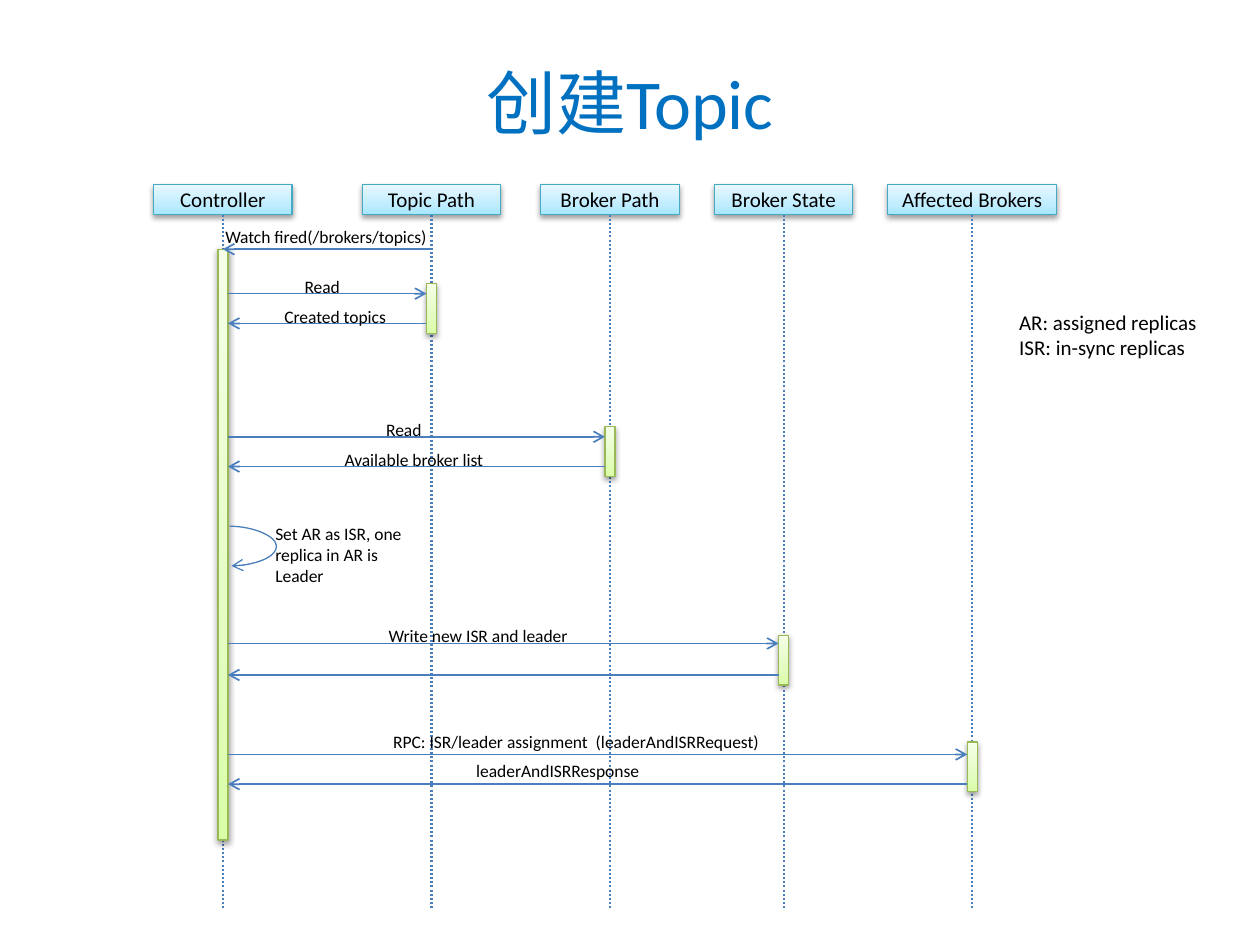
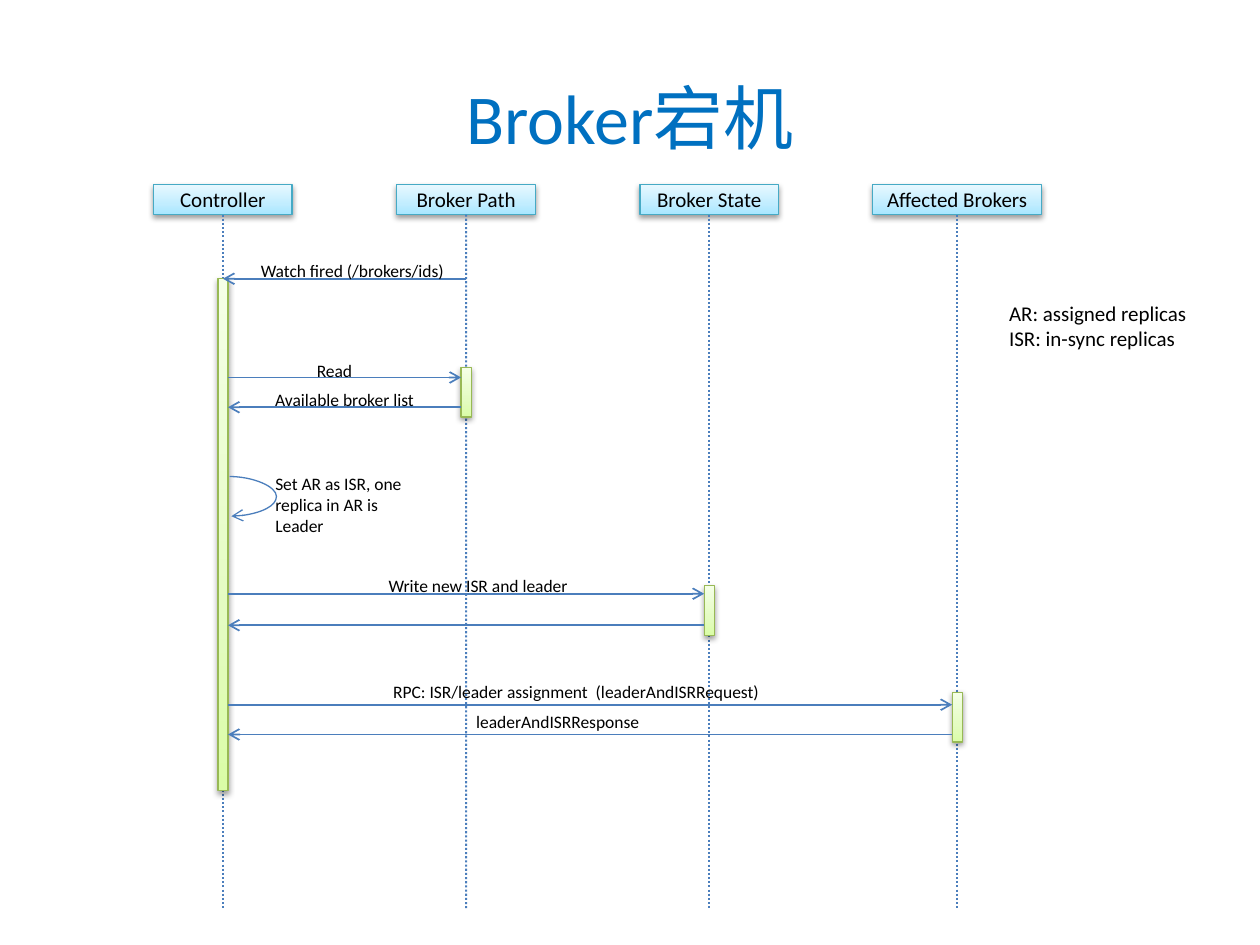
from copy import deepcopy

from lxml import etree
from pptx import Presentation
from pptx.dml.color import RGBColor
from pptx.enum.dml import MSO_LINE
from pptx.enum.shapes import MSO_CONNECTOR, MSO_SHAPE
from pptx.enum.text import MSO_ANCHOR, MSO_AUTO_SIZE, PP_ALIGN
from pptx.oxml.ns import qn
from pptx.util import Pt

STRAIGHT, CURVE = MSO_CONNECTOR.STRAIGHT, MSO_CONNECTOR.CURVE
RECTANGLE = MSO_SHAPE.RECTANGLE
DOTTED = MSO_LINE.ROUND_DOT
MIDDLE = MSO_ANCHOR.MIDDLE
CENTER, LEFT = PP_ALIGN.CENTER, PP_ALIGN.LEFT
NO_AUTOFIT = MSO_AUTO_SIZE.NONE
TOP_SIDE, BOTTOM_SIDE = 0, 2

# Shared look: gradients run from the bottom edge to the top edge
TITLE_COLOR, TEXT_COLOR, LINE_COLOR = "0070C0", "000000", "4B7EBC"
HEADER_STYLE = {"stops": ("A7E6FF", "C1EDFF", "E7F8FF"), "outline": "46AAC5"}
BAR_STYLE = {"stops": ("DAFDA7", "E4FCC2", "F5FFE7"), "outline": "98B955"}
STOP_POSITIONS = (0, 0.35, 1)

# Shared layout, in points
CONTROLLER_X = 127.4
HEADER_TOP, HEADER_WIDTH, WIDE_HEADER_WIDTH, HEADER_HEIGHT = 105.6, 79.2, 96.5, 17
LIFELINE_END = 519
BAR_WIDTH, BAR_HEIGHT = 5.8, 28.4
LABEL_HEIGHT = 19.4
NEAR, FAR = 13.7, 17.1  # height of a label's top above its arrow


def rgb(hex_color):
    return RGBColor.from_string(hex_color)


def apply(target, values):
    for attribute, value in values.items():
        setattr(target, attribute, value)


def write_lines(frame, lines, size, color=TEXT_COLOR, align=LEFT):
    for number, line in enumerate(lines):
        paragraph = frame.paragraphs[0] if number == 0 else frame.add_paragraph()
        paragraph.alignment = align
        run = paragraph.add_run()
        run.text = line
        apply(run.font, {"name": "Calibri", "size": Pt(size)})
        run.font.color.rgb = rgb(color)


def add_title(slide, text, height):
    title = slide.shapes.title
    apply(title, {"left": Pt(36), "top": Pt(21.6), "width": Pt(648), "height": Pt(height)})
    apply(title.text_frame, {"vertical_anchor": MIDDLE, "auto_size": NO_AUTOFIT})
    write_lines(title.text_frame, [text], 40, TITLE_COLOR, CENTER)


def add_label(slide, lines, left, top, width, height=LABEL_HEIGHT, size=10):
    label = slide.shapes.add_textbox(Pt(left), Pt(top), Pt(width), Pt(height))
    label.text_frame.word_wrap = True
    write_lines(label.text_frame, lines, size)


def add_soft_shadow(shape):
    shape.shadow.inherit = False
    effects = shape._element.spPr.find(qn("a:effectLst"))
    shadow = etree.SubElement(effects, qn("a:outerShdw"), blurRad="40000",
                              dist="20000", dir="5400000", rotWithShape="0")
    black = etree.SubElement(shadow, qn("a:srgbClr"), val="000000")
    etree.SubElement(black, qn("a:alpha"), val="38000")


def add_block(slide, center_x, top, width, height, style):
    """Gradient rectangle centred on a lifeline."""
    block = slide.shapes.add_shape(RECTANGLE, Pt(center_x - width / 2), Pt(top),
                                   Pt(width), Pt(height))
    block.fill.gradient()
    block.fill.gradient_angle = 90
    stop_list = block._element.spPr.find(".//" + qn("a:gsLst"))
    stop_list.insert(1, deepcopy(stop_list[0]))
    for stop, position, color in zip(block.fill.gradient_stops, STOP_POSITIONS,
                                     style["stops"]):
        stop.position = position
        stop.color.rgb = rgb(color)
    block.line.color.rgb = rgb(style["outline"])
    block.line.width = Pt(0.75)
    add_soft_shadow(block)
    return block


def add_line(slide, start, end, width=1, kind=STRAIGHT, arrow=True):
    line = slide.shapes.add_connector(kind, *(Pt(value) for value in (*start, *end)))
    line.line.color.rgb = rgb(LINE_COLOR)
    line.line.width = Pt(width)
    if arrow:
        etree.SubElement(line.line._get_or_add_ln(), qn("a:tailEnd"), type="arrow")
    etree.SubElement(line._element.spPr, qn("a:effectLst"))
    return line


def add_participant(slide, name, x, width=HEADER_WIDTH):
    header = add_block(slide, x, HEADER_TOP, width, HEADER_HEIGHT, HEADER_STYLE)
    apply(header.text_frame, {"margin_top": 0, "margin_bottom": 0,
                              "vertical_anchor": MIDDLE})
    write_lines(header.text_frame, [name], 12, align=CENTER)
    lifeline = add_line(slide, (x, HEADER_TOP + HEADER_HEIGHT), (x, LIFELINE_END),
                        1.2, arrow=False)
    lifeline.line.dash_style = DOTTED
    lifeline.begin_connect(header, BOTTOM_SIDE)


def add_activation(slide, x, top, height=BAR_HEIGHT):
    return add_block(slide, x, top, BAR_WIDTH, height, BAR_STYLE)


def add_watch(slide, source_x, top, bar_height, text, left, width, rise):
    """Controller activation and the watch event that starts it."""
    controller_bar = add_activation(slide, CONTROLLER_X, top, bar_height)
    event = add_line(slide, (source_x, top), (CONTROLLER_X, top))
    event.end_connect(controller_bar, TOP_SIDE)
    add_label(slide, [text], left, top - rise, width)


def add_exchange(slide, x, bar_top, request_y, reply_y, request, reply=None):
    """Request from the controller and its reply; labels are (text, left, width, rise)."""
    add_activation(slide, x, bar_top)
    controller_edge, target_edge = CONTROLLER_X + BAR_WIDTH / 2, x - BAR_WIDTH / 2
    add_line(slide, (controller_edge, request_y), (target_edge, request_y))
    add_line(slide, (target_edge, reply_y), (controller_edge, reply_y))
    for y, message in ((request_y, request), (reply_y, reply)):
        if message:
            text, left, width, rise = message
            add_label(slide, [text], left, y - rise, width)


def add_read(slide, x, y, read_left, reply):
    add_exchange(slide, x, y - 5.7, y, y + 17, ("Read", read_left, 42, NEAR), reply)


def add_leader_update(slide, top, state_x, brokers_x):
    """Leader choice, state write and broker notification, below a given height."""
    loop = add_line(slide, (131.2, top), (132.2, top + 22.7), 0.75, CURVE)
    adjustments = loop._element.spPr.find(qn("a:prstGeom")).get_or_add_avLst()
    etree.SubElement(adjustments, qn("a:gd"), name="adj1", fmla="val 2700000")
    add_label(slide, ["Set AR as ISR, one", "replica in AR is", "Leader"],
              150.2, top - 5.6, 96, 44)
    add_exchange(slide, state_x, top + 62.3, top + 67, top + 85,
                 ("Write new ISR and leader", 215, 140, 14.1))
    add_exchange(slide, brokers_x, top + 123.4, top + 130.4, top + 147.4,
                 ("RPC: ISR/leader assignment  (leaderAndISRRequest)", 217.6, 256, FAR),
                 ("leaderAndISRResponse", 265, 123, FAR))


def add_legend(slide, left, top):
    add_label(slide, ["AR: assigned replicas", "ISR: in-sync replicas"],
              left, top, 126, 36, 12)


def add_sequence_slide(deck, title, title_height, path_participants, state_x, brokers_x):
    slide = deck.slides.add_slide(deck.slide_layouts[5])
    add_title(slide, title, title_height)
    for name, x in (("Controller", CONTROLLER_X), *path_participants,
                    ("Broker State", state_x)):
        add_participant(slide, name, x)
    add_participant(slide, "Affected Brokers", brokers_x, WIDE_HEADER_WIDTH)
    return slide


def add_topic_creation(deck):
    topic_x, path_x, state_x, brokers_x = 246.6, 348.6, 447.8, 555.6
    slide = add_sequence_slide(deck, "创建Topic", 72.7,
                               [("Topic Path", topic_x), ("Broker Path", path_x)],
                               state_x, brokers_x)
    add_watch(slide, topic_x, 142.4, 337.6, "Watch fired(/brokers/topics)", 121.7, 138, 16.6)
    add_read(slide, topic_x, 167.8, 167, ("Created topics", 155.4, 80, NEAR))
    add_read(slide, path_x, 249.6, 213.6, ("Available broker list", 189.8, 100, NEAR))
    add_leader_update(slide, 300.7, state_x, brokers_x)
    add_legend(slide, 575.3, 173.5)


def add_broker_failure(deck):
    path_x, state_x, brokers_x = 266.4, 405.3, 547
    slide = add_sequence_slide(deck, "Broker宕机", 90, [("Broker Path", path_x)],
                               state_x, brokers_x)
    add_watch(slide, path_x, 159.3, 292.3, "Watch fired (/brokers/ids)", 142, 127, 14)
    add_read(slide, path_x, 215.7, 174, ("Available broker list", 150.2, 100, NEAR))
    add_leader_update(slide, 272.3, state_x, brokers_x)
    add_legend(slide, 569.5, 168)


def main():
    deck = Presentation()
    apply(deck, {"slide_width": Pt(720), "slide_height": Pt(540)})
    add_topic_creation(deck)
    add_broker_failure(deck)
    deck.save("out.pptx")


if __name__ == "__main__":
    main()
